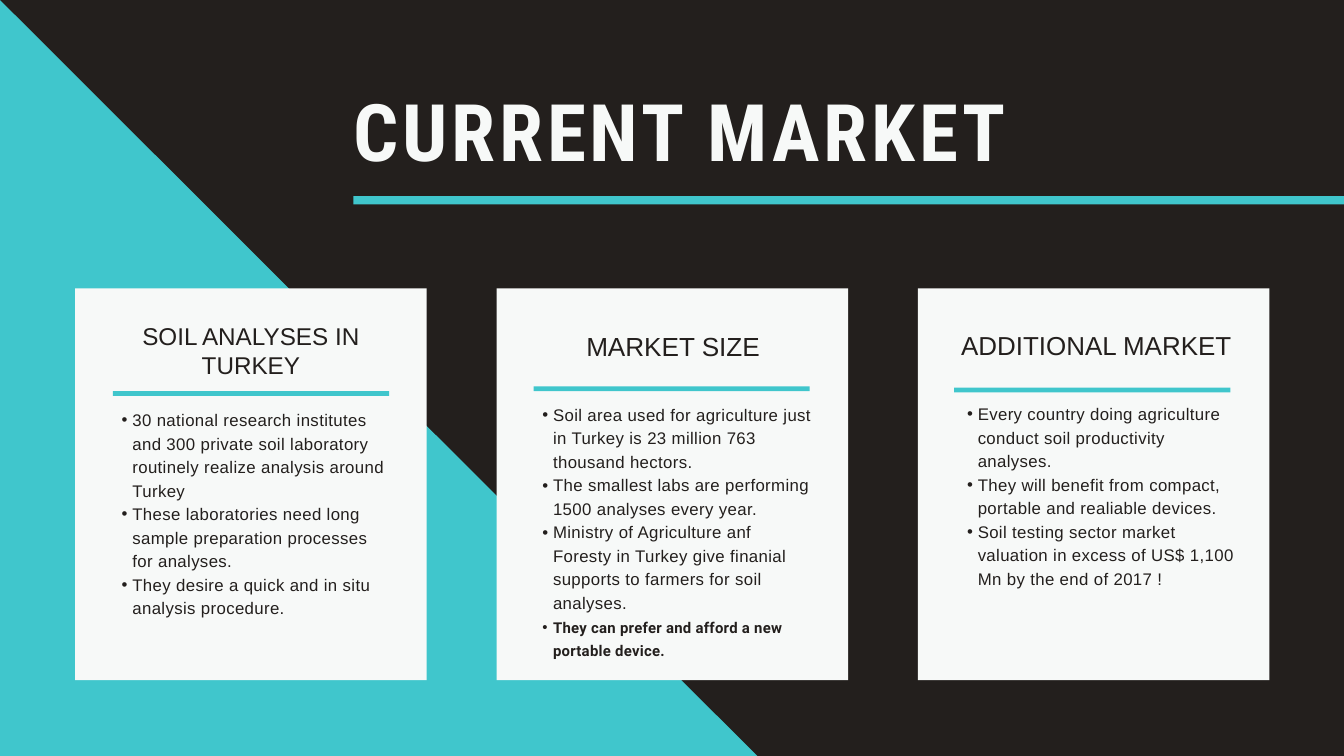
from lxml import etree
from pptx import Presentation
from pptx.dml.color import RGBColor
from pptx.enum.shapes import MSO_SHAPE
from pptx.enum.text import MSO_ANCHOR, MSO_AUTO_SIZE, PP_ALIGN
from pptx.oxml.ns import qn
from pptx.util import Inches, Pt

RECTANGLE = MSO_SHAPE.RECTANGLE
TOP = MSO_ANCHOR.TOP
NO_AUTOFIT = MSO_AUTO_SIZE.NONE
LEFT, CENTER = PP_ALIGN.LEFT, PP_ALIGN.CENTER

WIDTH, HEIGHT = 20, 11.25
DARK, TEAL, LIGHT = "231F1D", "40C6CC", "F7F9F8"
CARD_LEFT, CARD_TOP, CARD_PITCH = 1.12, 4.29, 6.27
CARD_WIDTH, CARD_HEIGHT = 5.23, 5.83

TITLE_FONT = {"name": "Roboto Condensed", "size": Pt(85), "bold": True}
LIST_FONT = {"name": "Arial", "size": Pt(18), "bold": False}
STRONG_FONT = {"name": "Roboto", "size": Pt(16), "bold": True}
FRAME_FORMAT = {
    "margin_left": 0, "margin_right": 0, "margin_top": 0, "margin_bottom": 0,
    "word_wrap": True, "auto_size": NO_AUTOFIT, "vertical_anchor": TOP,
}

CARDS = [
    {
        "heading": "SOIL ANALYSES IN TURKEY",
        "heading_size": 26, "heading_spacing": 31.2,
        "heading_at": (0.54, 0.49), "rule_at": (0.56, 1.53), "list_at": (0.52, 1.76),
        "points": [
            "30 national research institutes and 300 private soil laboratory "
            "routinely realize analysis around Turkey",
            "These laboratories need long sample preparation processes for analyses.",
            "They desire a quick and in situ analysis procedure.",
        ],
        "strong_points": [],
    },
    {
        "heading": "MARKET SIZE",
        "heading_size": 28, "heading_spacing": 33.6,
        "heading_at": (0.55, 0.63), "rule_at": (0.55, 1.46), "list_at": (0.51, 1.68),
        "points": [
            "Soil area used for agriculture just in Turkey is 23 million 763 "
            "thousand hectors.",
            "The smallest labs are performing 1500 analyses every year.",
            "Ministry of Agriculture anf Foresty in Turkey give finanial supports "
            "to farmers for soil analyses.",
        ],
        "strong_points": ["They can prefer and afford a new portable device."],
    },
    {
        "heading": "ADDITIONAL MARKET",
        "heading_size": 27.8, "heading_spacing": 33.3,
        "heading_at": (0.58, 0.62), "rule_at": (0.54, 1.48), "list_at": (0.56, 1.67),
        "points": [
            "Every country doing agriculture conduct soil productivity analyses.",
            "They will benefit from compact, portable and realiable devices.",
            "Soil testing sector market valuation in excess of US$ 1,100 Mn by "
            "the end of 2017 !",
        ],
        "strong_points": [],
    },
]


def color(hex_value):
    return RGBColor.from_string(hex_value)


def apply_format(target, values):
    for name, value in values.items():
        setattr(target, name, value)


def paint(shape, hex_value):
    shape.shadow.inherit = False
    shape.fill.solid()
    shape.fill.fore_color.rgb = color(hex_value)
    shape.line.fill.background()


def add_bar(slide, left, top, width, height, hex_value):
    bar = slide.shapes.add_shape(
        RECTANGLE, Inches(left), Inches(top), Inches(width), Inches(height))
    paint(bar, hex_value)


def place(slide, shape, left, top, width, height):
    apply_format(shape, {
        "left": Inches(left), "top": Inches(top),
        "width": Inches(width), "height": Inches(height),
    })
    apply_format(shape.text_frame, FRAME_FORMAT)
    slide.shapes._spTree.append(shape._element)


def write(paragraph, text, font_format, hex_value, spacing, alignment, tracking=0):
    apply_format(paragraph, {
        "alignment": alignment, "line_spacing": Pt(spacing), "space_before": Pt(0),
    })
    run = paragraph.add_run()
    run.text = text
    apply_format(run.font, font_format)
    run.font.color.rgb = color(hex_value)
    run._r.get_or_add_rPr().set("spc", str(round(tracking * 100)))


def add_bullet(paragraph):
    properties = paragraph._p.get_or_add_pPr()
    properties.set("marL", str(Inches(0.33)))
    properties.set("indent", str(Inches(-0.16)))
    etree.SubElement(properties, qn("a:buFont")).set("typeface", "Arial")
    etree.SubElement(properties, qn("a:buChar")).set("char", "•")


def build_background(slide):
    slide.background.fill.solid()
    slide.background.fill.fore_color.rgb = color(DARK)
    outline = slide.shapes.build_freeform(0, 0, scale=1.0)
    outline.add_line_segments(
        [(Inches(11.27), Inches(HEIGHT)), (0, Inches(HEIGHT))], close=True)
    paint(outline.convert_to_shape(), TEAL)


def build_header(slide, left, top):
    title = slide.shapes.title
    place(slide, title, left, top, 12.9, 1.35)
    write(title.text_frame.paragraphs[0], "CURRENT MARKET", TITLE_FONT, LIGHT,
          83.3, LEFT, 4.2)
    add_bar(slide, left, top + 1.44, WIDTH - left, 0.12, TEAL)


def build_card(slide, points_body, card, left, top, width, height):
    def inside(offset):
        return left + offset[0], top + offset[1]

    add_bar(slide, left, top, width, height, LIGHT)

    heading = slide.shapes.add_textbox(0, 0, 0, 0)
    place(slide, heading, *inside(card["heading_at"]), 4.15, 0.9)
    heading_font = {"name": "Arial", "size": Pt(card["heading_size"])}
    write(heading.text_frame.paragraphs[0], card["heading"], heading_font, DARK,
          card["heading_spacing"], CENTER)

    add_bar(slide, *inside(card["rule_at"]), 4.11, 0.07, TEAL)

    list_left, list_top = inside(card["list_at"])
    place(slide, points_body, list_left, list_top, 4.19, top + height - list_top - 0.25)
    entries = [(point, LIST_FONT, 0.4) for point in card["points"]]
    entries += [(point, STRONG_FONT, 0.3) for point in card["strong_points"]]
    frame = points_body.text_frame
    for index, (point, font_format, tracking) in enumerate(entries):
        paragraph = frame.add_paragraph() if index else frame.paragraphs[0]
        add_bullet(paragraph)
        write(paragraph, point, font_format, DARK, 25.2, LEFT, tracking)


def main():
    presentation = Presentation()
    presentation.slide_width = Inches(WIDTH)
    presentation.slide_height = Inches(HEIGHT)
    comparison_layout = presentation.slide_layouts[4]
    slide = presentation.slides.add_slide(comparison_layout)
    bodies = list(slide.placeholders)[1:]

    build_background(slide)
    build_header(slide, 5.26, 1.48)
    for column, (body, card) in enumerate(zip(bodies, CARDS)):
        build_card(slide, body, card, CARD_LEFT + column * CARD_PITCH, CARD_TOP,
                   CARD_WIDTH, CARD_HEIGHT)
    for spare in bodies[len(CARDS):]:
        slide.shapes._spTree.remove(spare._element)

    presentation.save("out.pptx")


if __name__ == "__main__":
    main()
